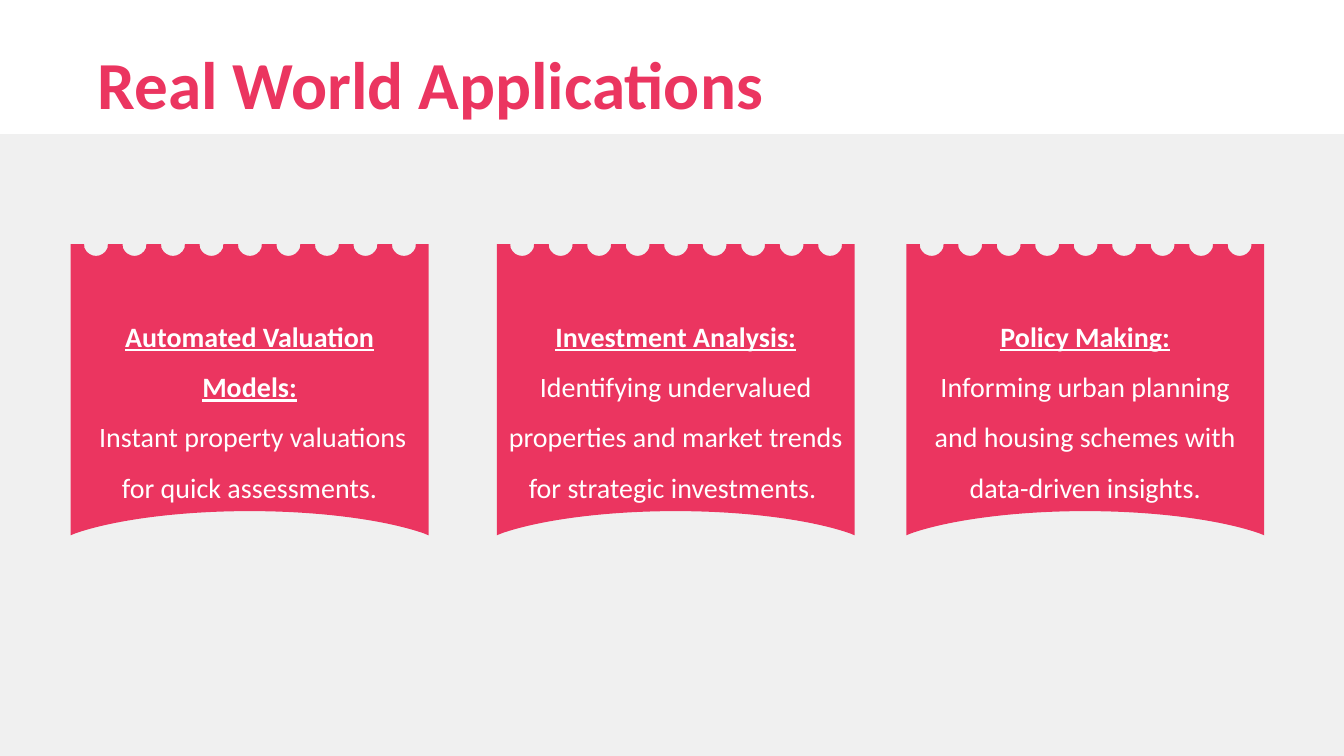
from lxml import etree
from pptx import Presentation
from pptx.dml.color import RGBColor
from pptx.enum import shapes as kinds, text as txt
from pptx.oxml.ns import qn
from pptx.util import Cm, Pt

PINK = RGBColor(0xEB, 0x35, 0x60)
GREY = RGBColor(0xF0, 0xF0, 0xF0)
WHITE = RGBColor(0xFF, 0xFF, 0xFF)
FONT = "Calibri"
FULL, BAND, TALL = 33.87, 3.38, 19.05
WIDE, HIGH = 9.02, 7.34
TOP = 6.15
NOTCHES, FIRST, PITCH = 9, 0.64, 0.97
NOTCH = [
    [(-0.3, 0)],
    [(-0.29, 0.1)],
    [(-0.24, 0.22), (-0.13, 0.3), (0, 0.3)],
    [(0.13, 0.3), (0.24, 0.22), (0.29, 0.1)],
    [(0.3, 0)],
]
BASE = [
    [(WIDE, 0)],
    [(WIDE, HIGH)],
    [(WIDE - 0.12, HIGH - 0.05)],
    [(WIDE - 1.07, HIGH - 0.38), (WIDE - 2.69, HIGH - 0.61), (WIDE / 2, HIGH - 0.61)],
    [(2.69, HIGH - 0.61), (1.07, HIGH - 0.38), (0.12, HIGH - 0.05)],
    [(0, HIGH)],
]
CARDS = [
    (1.78, "Automated Valuation Models:",
     " Instant property valuations for quick assessments."),
    (12.52, "Investment Analysis:",
     "Identifying undervalued properties and market trends for strategic investments. "),
    (22.84, "Policy Making:",
     "Informing urban planning and housing schemes with data-driven insights."),
]


def style(para, size, color, bold):
    """Set the font of a paragraph."""
    font = para.font
    font.name, font.size, font.bold = FONT, Pt(size), bold
    font.color.rgb = color


def paint(shape, color):
    """Fill a shape with a flat colour, without line or shadow."""
    shape.fill.solid()
    shape.fill.fore_color.rgb = color
    shape.line.fill.background()
    shape.shadow.inherit = False


def add_area(slide, top, high, color):
    """Add a rectangle across the slide."""
    area = slide.shapes.add_shape(
        kinds.MSO_SHAPE.RECTANGLE, 0, Cm(top), Cm(FULL), Cm(high))
    paint(area, color)
    return area


def fade(shape, share):
    """Set the opacity of a fill in percent."""
    tint = shape.element.spPr.find(qn("a:solidFill"))[0]
    etree.SubElement(tint, qn("a:alpha")).set("val", str(share * 1000))


def add_title(slide, words):
    """Add the slide title."""
    box = slide.shapes.add_textbox(Cm(2.21), Cm(1.02), Cm(27.79), Cm(2.36))
    frame = box.text_frame
    frame.word_wrap = True
    frame.vertical_anchor = txt.MSO_ANCHOR.MIDDLE
    para = frame.paragraphs[0]
    para.text = words
    para.line_spacing = 0.9
    style(para, 48, PINK, True)


def edge():
    """Return the ticket outline as lines (one point) and curves (three)."""
    notches = [[(FIRST + n * PITCH + x, y) for x, y in move]
               for n in range(NOTCHES) for move in NOTCH]
    return notches + BASE


def bend(line, guides):
    """Turn a line of an outline into a curve with the given control points."""
    line.tag = qn("a:cubicBezTo")
    for n, (x, y) in enumerate(guides):
        point = etree.Element(qn("a:pt"), x=str(Cm(x)), y=str(Cm(y)))
        line.insert(n, point)


def add_ticket(slide, left):
    """Add a ticket with a notched top and a curved base."""
    moves = edge()
    pen = slide.shapes.build_freeform(0, 0)
    pen.add_line_segments([(Cm(x), Cm(y)) for *_, (x, y) in moves], close=True)
    ticket = pen.convert_to_shape(Cm(left), Cm(TOP))
    lines = list(ticket.element.iter(qn("a:lnTo")))
    for line, move in zip(lines, moves):
        if len(move) == 3:
            bend(line, move[:2])
    paint(ticket, PINK)
    return ticket


def add_card(slide, left, head, body):
    """Add a ticket with an underlined heading and its description."""
    frame = add_ticket(slide, left).text_frame
    frame.word_wrap = True
    frame.vertical_anchor = txt.MSO_ANCHOR.MIDDLE
    frame.margin_top = Cm(0.8)
    frame.text = f"{head}\n{body}"
    for para, bold in zip(frame.paragraphs, (True, False)):
        para.alignment = txt.PP_ALIGN.CENTER
        para.line_spacing = 1.5
        style(para, 20, WHITE, bold)
        para.font.underline = bold


def main():
    """Build the slide and save it."""
    deck = Presentation()
    deck.slide_width, deck.slide_height = Cm(FULL), Cm(TALL)
    slide = deck.slides.add_slide(deck.slide_layouts[6])
    add_area(slide, BAND, TALL - BAND, GREY)
    fade(add_area(slide, 0, BAND, WHITE), 70)
    add_title(slide, "Real World Applications")
    for card in CARDS:
        add_card(slide, *card)
    deck.save("out.pptx")


if __name__ == "__main__":
    main()
